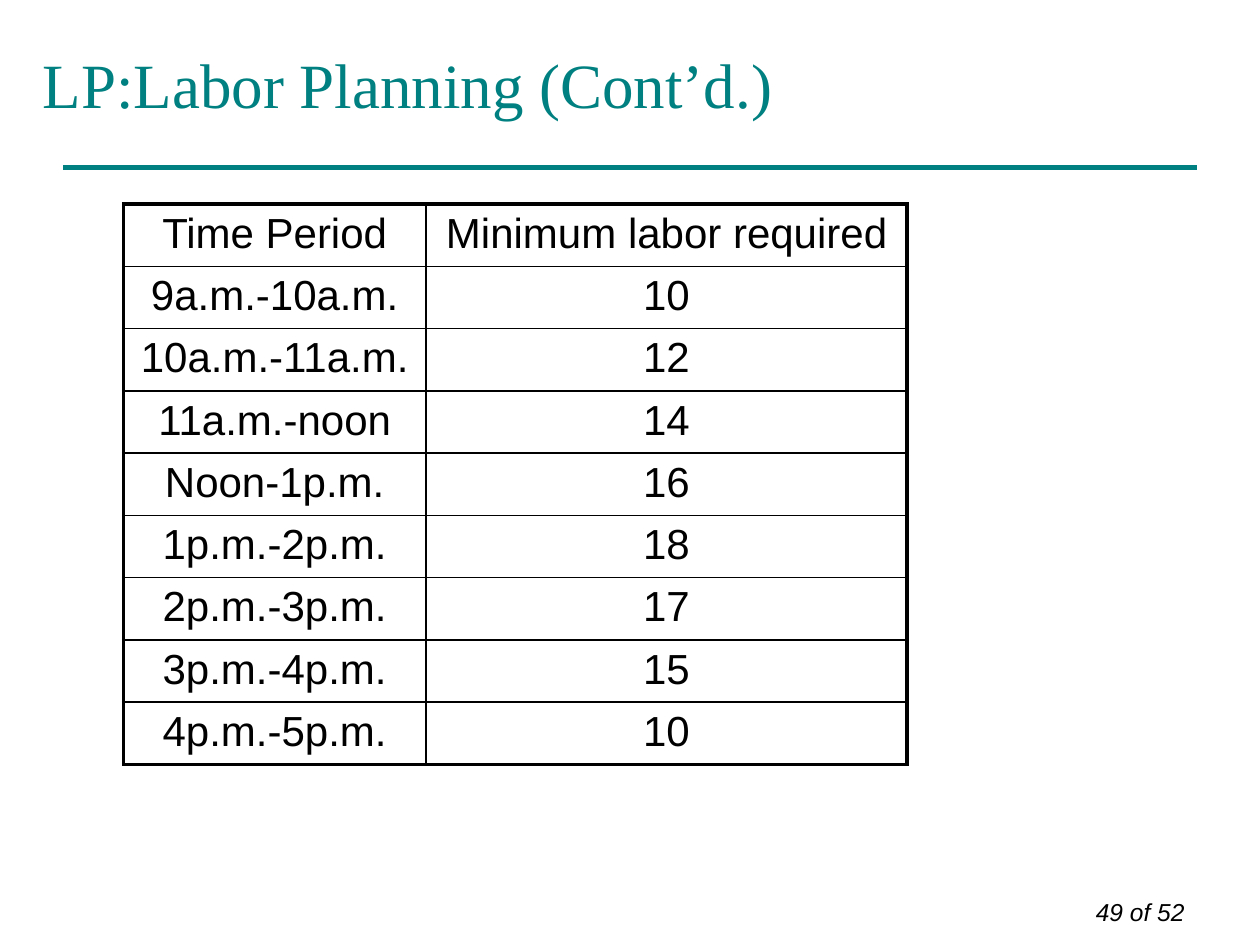
from pptx import Presentation
from pptx.dml.color import RGBColor
from pptx.enum.shapes import MSO_CONNECTOR
from pptx.enum.text import MSO_ANCHOR, PP_ALIGN
from pptx.oxml.ns import qn
from pptx.util import Inches, Pt
from lxml import etree

STRAIGHT = MSO_CONNECTOR.STRAIGHT
MIDDLE = MSO_ANCHOR.MIDDLE
LEFT, CENTER, RIGHT = PP_ALIGN.LEFT, PP_ALIGN.CENTER, PP_ALIGN.RIGHT

TEAL = RGBColor(0x00, 0x80, 0x80)
BLACK = RGBColor(0x00, 0x00, 0x00)
WHITE = RGBColor(0xFF, 0xFF, 0xFF)

THIN, THICK = 1, 2.25
TITLE_LAYOUT = 5

LABOR_ROWS = [
    ("Time Period", "Minimum labor required"),
    ("9a.m.-10a.m.", "10"),
    ("10a.m.-11a.m.", "12"),
    ("11a.m.-noon", "14"),
    ("Noon-1p.m.", "16"),
    ("1p.m.-2p.m.", "18"),
    ("2p.m.-3p.m.", "17"),
    ("3p.m.-4p.m.", "15"),
    ("4p.m.-5p.m.", "10"),
]


class SlideBuilder:
    heading_font = "Times New Roman"
    body_font = "Arial"

    def __init__(self, deck):
        self.page = deck.slides.add_slide(deck.slide_layouts[TITLE_LAYOUT])
        self.page.background.fill.solid()
        self.page.background.fill.fore_color.rgb = WHITE

    def set_text(self, frame, text, font, size, color, align, italic=False):
        frame.text = text
        para = frame.paragraphs[0]
        para.alignment = align
        para.font.name = font
        para.font.size = Pt(size)
        para.font.color.rgb = color
        para.font.italic = italic

    def title(self, text, left, top, width, height):
        box = self.page.shapes.title
        box.left, box.top = Inches(left), Inches(top)
        box.width, box.height = Inches(width), Inches(height)
        box.text_frame.vertical_anchor = MIDDLE
        self.set_text(box.text_frame, text, self.heading_font, 36, TEAL, LEFT)

    def rule(self, left, right, y):
        line = self.page.shapes.add_connector(
            STRAIGHT, Inches(left), Inches(y), Inches(right), Inches(y))
        line.line.color.rgb = TEAL
        line.line.width = Pt(3)
        etree.SubElement(line._element.spPr, qn("a:effectLst"))

    def text(self, text, left, top, width, height):
        box = self.page.shapes.add_textbox(
            Inches(left), Inches(top), Inches(width), Inches(height))
        box.text_frame.word_wrap = True
        self.set_text(box.text_frame, text, self.body_font, 14, BLACK, RIGHT, italic=True)

    def border(self, cell, side, width):
        properties = cell._tc.get_or_add_tcPr()
        line = etree.SubElement(properties, qn(f"a:ln{side}"), w=str(Pt(width)))
        fill = etree.SubElement(line, qn("a:solidFill"))
        etree.SubElement(fill, qn("a:srgbClr"), val=str(BLACK))

    def table(self, rows, left, top, column_widths, row_height):
        last_row, last_column = len(rows) - 1, len(column_widths) - 1
        table = self.page.shapes.add_table(
            len(rows), len(column_widths), Inches(left), Inches(top),
            Inches(sum(column_widths)), Inches(row_height * len(rows))).table
        for column, width in zip(table.columns, column_widths):
            column.width = Inches(width)
        for row_index, values in enumerate(rows):
            for column_index, value in enumerate(values):
                cell = table.cell(row_index, column_index)
                outer_edges = {
                    "L": column_index == 0,
                    "R": column_index == last_column,
                    "T": row_index == 0,
                    "B": row_index == last_row,
                }
                for side, is_outer in outer_edges.items():
                    self.border(cell, side, THICK if is_outer else THIN)
                cell.fill.background()
                self.set_text(cell.text_frame, value, self.body_font, 24, BLACK, CENTER)


def main():
    deck = Presentation()
    deck.slide_width, deck.slide_height = Inches(10), Inches(7.5)
    builder = SlideBuilder(deck)
    builder.rule(0.5, 9.5, 1.33)
    builder.title("LP:Labor Planning (Cont’d.)", 0.24, 0.25, 8.18, 0.82)
    builder.table(LABOR_ROWS, 0.98, 1.62, (2.4, 3.82), 4.45 / len(LABOR_ROWS))
    builder.text("49 of 52", 8.31, 7.07, 1.19, 0.26)
    deck.save("out.pptx")


if __name__ == "__main__":
    main()
